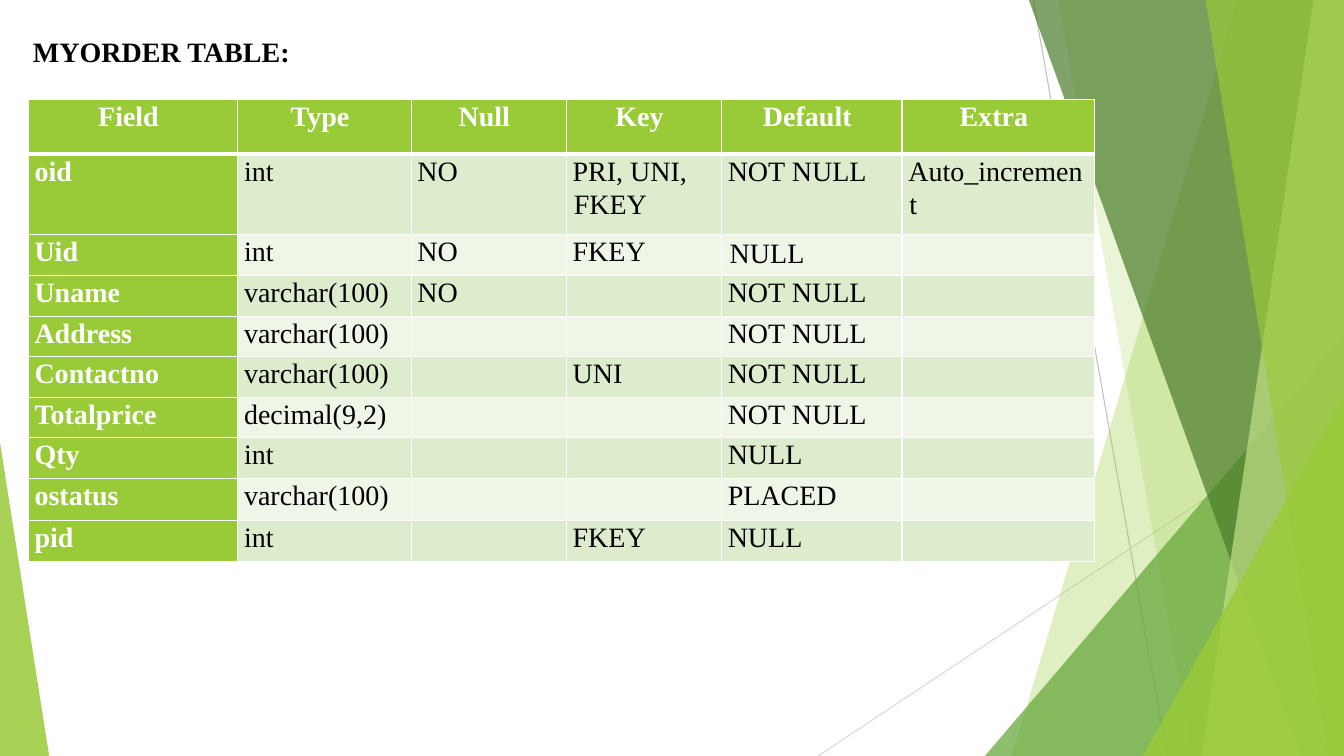
from lxml.etree import SubElement
from pptx import Presentation
from pptx.dml.color import RGBColor
from pptx.enum.shapes import MSO_CONNECTOR as Connector, MSO_SHAPE as Shape
from pptx.enum.text import MSO_ANCHOR as Anchor, PP_ALIGN as Align
from pptx.oxml.ns import qn
from pptx.util import Cm, Pt

LIME = RGBColor(0x99, 0xCB, 0x38)
PALE_LIME = RGBColor(0xC2, 0xE0, 0x88)
GREEN = RGBColor(0x63, 0xA5, 0x37)
DARK_GREEN = RGBColor(0x4A, 0x7C, 0x29)
ODD_ROW = RGBColor(0xDE, 0xEC, 0xCE)
EVEN_ROW = RGBColor(0xEF, 0xF6, 0xE8)
GREY = RGBColor(0xBF, 0xBF, 0xBF)
LIGHT_GREY = RGBColor(0xD9, 0xD9, 0xD9)
WHITE = RGBColor(0xFF, 0xFF, 0xFF)
BLACK = RGBColor(0, 0, 0)

WIDTH, HEIGHT = 33.87, 19.05

# top x, bottom x, colour, opacity in percent; each facet reaches the right edge
BACK_FACETS = [(31.19, 25.5, LIME, 30), (26.67, 30.05, LIME, 20)]
FRONT_FACETS = [
    (25.93, 32.79, DARK_GREEN, 70),
    (33.1, 30.28, PALE_LIME, 70),
    (30.38, 33.48, LIME, 65),
]

COLUMN_WIDTHS = [5.28, 4.37, 3.91, 3.91, 4.55, 4.85]
ROW_HEIGHTS = [1.37, 2.03, 1.04] + [1.02] * 5 + [1.07, 1.02]
FIELDS = [
    ("Field", "Type", "Null", "Key", "Default", "Extra"),
    ("oid", "int", "NO", "PRI, UNI, FKEY", "NOT NULL", "Auto_increment"),
    ("Uid", "int", "NO", "FKEY", "", ""),
    ("Uname", "varchar(100)", "NO", "", "NOT NULL", ""),
    ("Address", "varchar(100)", "", "", "NOT NULL", ""),
    ("Contactno", "varchar(100)", "", "UNI", "NOT NULL", ""),
    ("Totalprice", "decimal(9,2)", "", "", "NOT NULL", ""),
    ("Qty", "int", "", "", "NULL", ""),
    ("ostatus", "varchar(100)", "", "", "PLACED", ""),
    ("pid", "int", "", "FKEY", "NULL", ""),
]


def write(frame, text, color=BLACK, bold=False, align=Align.LEFT,
          indent=0, hanging=0, line_spacing=None, space_after=None):
    """Put one formatted paragraph into a text frame; indents are in cm."""
    paragraph = frame.paragraphs[0]
    paragraph.alignment = align
    paragraph.line_spacing = line_spacing
    paragraph.space_after = space_after
    properties = paragraph._p.get_or_add_pPr()
    properties.set("marL", str(Cm(indent)))
    properties.set("indent", str(Cm(-hanging)))
    run = paragraph.add_run()
    run.text = text
    run.font.name = "Times New Roman"
    run.font.size = Pt(20)
    run.font.bold = bold
    run.font.color.rgb = color


def add_borders(cell, bottom=1):
    """Draw white cell borders, 1 pt except for the bottom one."""
    properties = cell._tc.get_or_add_tcPr()
    for side, points in (("L", 1), ("R", 1), ("T", 1), ("B", bottom)):
        line = SubElement(properties, qn(f"a:ln{side}"), w=str(Pt(points)))
        fill = SubElement(line, qn("a:solidFill"))
        SubElement(fill, qn("a:srgbClr"), val=str(WHITE))


class FacetSlide:
    def __init__(self, presentation):
        self.shapes = presentation.slides.add_slide(presentation.slide_layouts[6]).shapes

    def paint(self, shape, color, opacity):
        shape.shadow.inherit = False
        shape.line.fill.background()
        shape.fill.solid()
        shape.fill.fore_color.rgb = color
        tint = shape._element.spPr.find(f"{qn('a:solidFill')}/{qn('a:srgbClr')}")
        SubElement(tint, qn("a:alpha"), val=str(opacity * 1000))

    def line(self, x1, y1, x2, y2, color):
        line = self.shapes.add_connector(Connector.STRAIGHT, Cm(x1), Cm(y1), Cm(x2), Cm(y2))
        line.line.color.rgb = color
        line.line.width = Pt(0.75)
        SubElement(line._element.spPr, qn("a:effectLst"))

    def facet(self, top_x, bottom_x, color, opacity):
        outline = self.shapes.build_freeform(Cm(top_x), 0)
        outline.add_line_segments(
            [(Cm(x), Cm(y)) for x, y in ((WIDTH, 0), (WIDTH, HEIGHT), (bottom_x, HEIGHT))])
        self.paint(outline.convert_to_shape(), color, opacity)

    def corner(self, left, top, right, apex, color, opacity):
        """Triangle standing on the bottom edge; apex runs from 0 (left) to 1 (right)."""
        triangle = self.shapes.add_shape(
            Shape.ISOSCELES_TRIANGLE, Cm(left), Cm(top), Cm(right - left), Cm(HEIGHT - top))
        triangle.adjustments[0] = apex
        self.paint(triangle, color, opacity)

    def text(self, left, top, width, height, text, inset=0.25, bottom=0.13, **style):
        frame = self.shapes.add_textbox(Cm(left), Cm(top), Cm(width), Cm(height)).text_frame
        frame.word_wrap = True
        frame.vertical_anchor = Anchor.MIDDLE
        frame.margin_left, frame.margin_right = Cm(inset), 0
        frame.margin_bottom = Cm(bottom)
        write(frame, text, **style)

    def table(self, left, top, rows):
        table = self.shapes.add_table(
            len(rows), len(COLUMN_WIDTHS), Cm(left), Cm(top),
            Cm(sum(COLUMN_WIDTHS)), Cm(sum(ROW_HEIGHTS))).table
        for column, width in zip(table.columns, COLUMN_WIDTHS):
            column.width = Cm(width)
        for row, height in zip(table.rows, ROW_HEIGHTS):
            row.height = Cm(height)
        for r, values in enumerate(rows):
            for c, value in enumerate(values):
                self.cell(table.cell(r, c), value, r, c)

    def cell(self, cell, value, row, column):
        header = row == 0
        accent = header or column == 0
        add_borders(cell, bottom=3 if header else 1)
        cell.fill.solid()
        cell.fill.fore_color.rgb = LIME if accent else ODD_ROW if row % 2 else EVEN_ROW
        cell.margin_left = cell.margin_top = cell.margin_bottom = 0
        cell.margin_right = Cm(0.28 if header else 0.1)
        if value:
            write(cell.text_frame, value, color=WHITE if accent else BLACK, bold=accent,
                  align=Align.CENTER if header else Align.LEFT,
                  indent=0.09 if header else 0.19, hanging=0.03,
                  line_spacing=1.07, space_after=Pt(5.5))


def main():
    presentation = Presentation()
    presentation.slide_width, presentation.slide_height = Cm(WIDTH), Cm(HEIGHT)
    slide = FacetSlide(presentation)

    slide.line(26.04, 0, 29.41, HEIGHT, GREY)
    slide.line(WIDTH, 10.24, 20.62, HEIGHT, LIGHT_GREY)
    for facet in BACK_FACETS:
        slide.facet(*facet)
    slide.corner(24.82, 8.46, WIDTH, 1, GREEN, 72)
    for facet in FRONT_FACETS:
        slide.facet(*facet)
    slide.corner(28.8, 9.98, WIDTH, 1, LIME, 80)
    slide.corner(0, 11.15, 1.24, 0, LIME, 85)

    slide.table(0.71, 2.51, FIELDS)
    slide.text(0.46, 0.74, 7.34, 1.37, "MYORDER TABLE:", inset=0.37, bottom=0.38, bold=True)
    slide.text(18.14, 5.79, 3.58, 1.12, "NULL")
    presentation.save("out.pptx")


if __name__ == "__main__":
    main()
